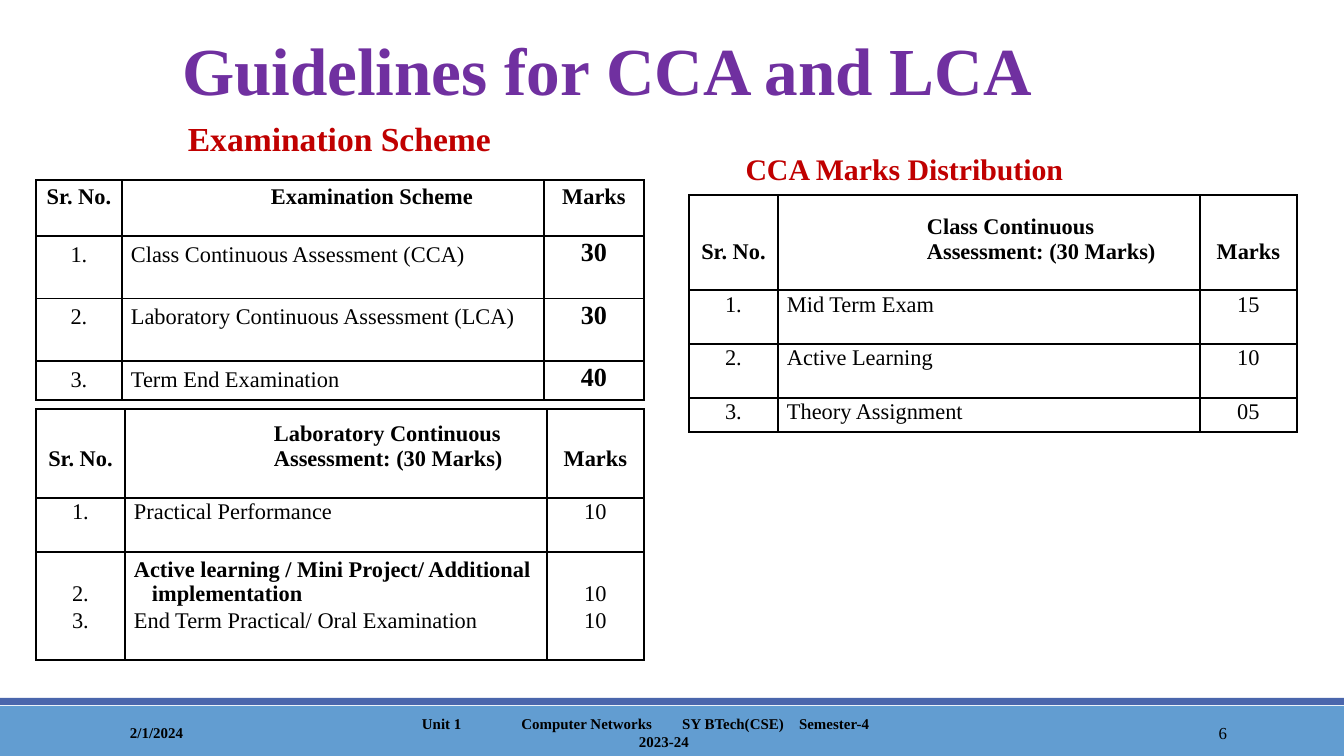
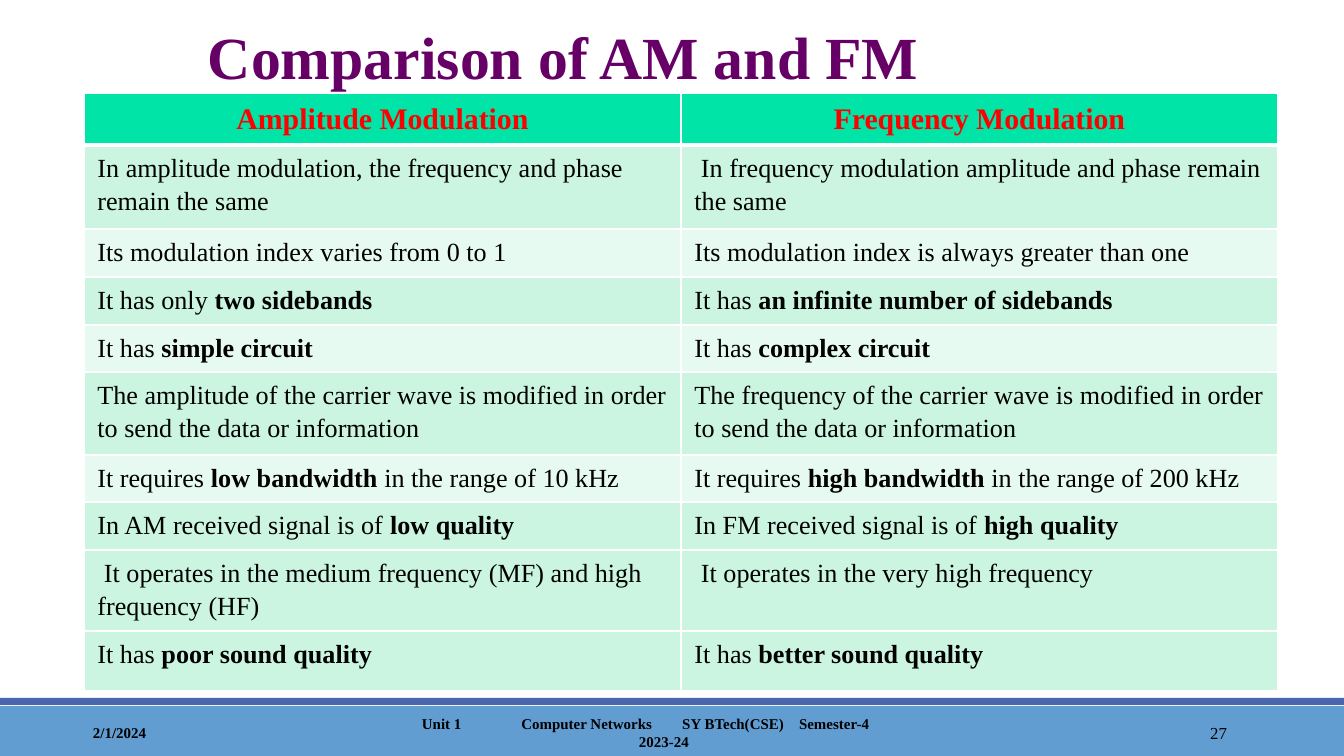
from lxml import etree
from pptx import Presentation, util as u
from pptx.dml.color import RGBColor
from pptx.enum import shapes, text
from pptx.oxml.ns import qn

PX = 6804  # EMU in one px; the slide is 1344 x 756 px
FACE = "Times New Roman"
INK = {
    "black": "000000", "white": "FFFFFF", "violet": "7030A0", "plum": "660066",
    "head": "C00000", "red": "FF0000", "band": "629DD1", "strip": "4A66AC",
    "green": "00E4A8", "mint": "CBF5E1", "pale": "E7FAF1",
}
LEFT, MID, RIGHT = text.PP_ALIGN.LEFT, text.PP_ALIGN.CENTER, text.PP_ALIGN.RIGHT
TOP, CORE, LOW = (text.MSO_ANCHOR.TOP, text.MSO_ANCHOR.MIDDLE,
                  text.MSO_ANCHOR.BOTTOM)
INSET = {"margin_left": 9 * PX, "margin_right": 9 * PX,
         "margin_top": 5 * PX, "margin_bottom": 5 * PX}
FLUSH = dict.fromkeys(INSET, 0)


def write(par, words, size, ink="black", bold=False, **form):
    """Fill a paragraph; parts between asterisks are bold."""
    for key, val in form.items():
        if key in ("marL", "indent"):
            par._p.get_or_add_pPr().set(key, str(val * PX))
        else:
            setattr(par, key, val)
    for i, part in enumerate(words.split("*")):
        if part:
            run = par.add_run()
            run.text = part
            look = {"name": FACE, "size": u.Pt(size), "bold": bold or i % 2 == 1}
            for key, val in look.items():
                setattr(run.font, key, val)
            run.font.color.rgb = RGBColor.from_string(INK[ink])


def edge(cell, ink, **width):
    """Draw the cell borders L, R, T and B; a width of 0 means no line."""
    props = cell._tc.get_or_add_tcPr()
    for side in "LRTB":
        line = etree.SubElement(props, qn("a:ln" + side),
                                w=str(u.Pt(width[side])))
        if width[side]:
            fill = etree.SubElement(line, qn("a:solidFill"))
            etree.SubElement(fill, qn("a:srgbClr"), val=INK[ink])
        else:
            etree.SubElement(line, qn("a:noFill"))


deck = Presentation()
deck.slide_width, deck.slide_height = 1344 * PX, 756 * PX

# Shared frame: bands, footer and title
pages = [
    ("Guidelines for CCA and LCA", (173, 7, 1034, 107), 36, "violet", LOW, 0.85,
     121, "6"),
    ("Comparison of AM and FM", (199, 15, 1079, 91), 32, "plum", TOP, 1.0,
     84, "27"),
]
for name, spot, size, ink, anchor, gap, left, num in pages:
    slide = deck.slides.add_slide(deck.slide_layouts[5])
    for y, h, tint in [(706, 50, "band"), (698, 7, "strip")]:
        bar = slide.shapes.add_shape(shapes.MSO_SHAPE.RECTANGLE,
                                     0, y * PX, 1344 * PX, h * PX)
        bar.shadow.inherit = False
        bar.fill.solid()
        bar.fill.fore_color.rgb = RGBColor.from_string(INK[tint])
        bar.line.fill.background()

    date, unit, page = [
        slide.shapes.add_textbox(x * PX, 712 * PX, w * PX, 41 * PX).text_frame
        for x, w in [(left, 273), (406, 532), (1091, 145)]]
    for frame in (date, unit, page):
        for key, val in {**INSET, "word_wrap": True,
                         "vertical_anchor": CORE}.items():
            setattr(frame, key, val)
    write(date.paragraphs[0], "2/1/2024", 8, bold=True)
    write(page.paragraphs[0], num, 9, alignment=RIGHT)

    # Single spaces widened by character spacing (hundredths of a point)
    course = unit.paragraphs[0]
    write(course, "Unit 1* *Computer Networks* *SY BTech(CSE)* *Semester-4", 8,
          bold=True, marL=7, indent=0)
    for run, wide in zip(course.runs[1::2], (3000, 1400, 600)):
        run._r.get_or_add_rPr().set("spc", str(wide))
    write(unit.add_paragraph(), "2023-24", 8, bold=True, marL=224, indent=0)

    title = slide.shapes.title
    title.left, title.top, title.width, title.height = [n * PX for n in spot]
    for key, val in {**INSET, "word_wrap": True, "vertical_anchor": anchor,
                     "auto_size": text.MSO_AUTO_SIZE.NONE}.items():
        setattr(title.text_frame, key, val)
    write(title.text_frame.paragraphs[0], name, size, ink, True,
          alignment=LEFT, line_spacing=gap)

guide, match = deck.slides

# Slide 1: headings
for words, size, x, y, w, h in [
        ("Examination Scheme", 18, 173, 111, 333, 54),
        ("CCA Marks Distribution", 16, 729, 144, 351, 50)]:
    box = guide.shapes.add_textbox(x * PX, y * PX, w * PX, h * PX)
    box.text_frame.word_wrap = False
    write(box.text_frame.paragraphs[0], words, size, "head", True, alignment=MID)

# Slide 1: marks tables; None is the empty row that closes an entry
grids = [
    (36, 180, (86, 422, 100), (29, 27, 30, 31, 30, 31, 30, 8), 14, [
        ("Sr. No.", "Examination Scheme", "Marks"), None,
        ("1.", "Class Continuous Assessment (CCA)", "30"), None,
        ("2.", "Laboratory Continuous Assessment (LCA)", "30"), None,
        ("3.", "Term End Examination", "40"), None]),
    (689, 195, (89, 422, 97), (69, 26, 26, 27, 26, 27, 26, 7), 12, [
        ("Sr. No.", "Class Continuous Assessment: (30 Marks)", "Marks"), None,
        ("1.", "Mid Term Exam", "15"), None,
        ("2.", "Active Learning", "10"), None,
        ("3.", "Theory Assignment", "05"), None]),
    (36, 409, (89, 422, 97), (62, 27, 26, 27, 55, 27, 26), 12, [
        ("Sr. No.", "Laboratory Continuous Assessment: (30 Marks)", "Marks"),
        None,
        ("1.", "Practical Performance", "10"), None,
        ("2.", "*Active learning / Mini Project/ Additional implementation*",
         "10"),
        ("3.", "End Term Practical/ Oral Examination", "10"), None]),
]
for x, y, cols, highs, size, rows in grids:
    table = guide.shapes.add_table(len(rows), 3, x * PX, y * PX,
                                   sum(cols) * PX, sum(highs) * PX).table
    table.first_row = table.horz_banding = False
    for col, w in zip(table.columns, cols):
        col.width = w * PX
    for r, row in enumerate(rows):
        table.rows[r].height = highs[r] * PX
        for c in range(3):
            cell = table.cell(r, c)
            edge(cell, "black", L=1, R=1, T=int(r == 0 or rows[r - 1] is None),
                 B=int(row is None))
            cell.fill.background()
            for key, val in {**FLUSH, "vertical_anchor": LOW}.items():
                setattr(cell, key, val)
            par = cell.text_frame.paragraphs[0]
            if row is None:
                etree.SubElement(par._p, qn("a:endParaRPr"), sz="100")
                continue
            form = {"alignment": MID}
            if c == 1:
                form = {"marL": 9 if r else 149, "indent": 0}
                if row[c].startswith("*"):
                    form = {"marL": 27, "indent": -18}
            mark = r > 0 and c == 2
            write(par, row[c], size if mark else 12,
                  bold=r == 0 or (mark and size == 14), **form)

# Slide 2: comparison table
pairs = [
    ("Amplitude Modulation", "Frequency Modulation", 52, "green"),
    ("In amplitude modulation, the frequency and phase remain the same",
     " In frequency modulation amplitude and phase remain the same", 84, "mint"),
    ("Its modulation index varies from 0 to 1",
     "Its modulation index is always greater than one", 48, "pale"),
    ("It has only *two sidebands*",
     "It has *an infinite number of sidebands*", 48, "mint"),
    ("It has *simple circuit*", "It has *complex circuit*", 47, "pale"),
    ("The amplitude of the carrier wave is modified in order to send the data "
     "or information",
     "The frequency of the carrier wave is modified in order to send the data "
     "or information", 83, "mint"),
    ("It requires *low bandwidth *in the range of 10 kHz",
     "It requires *high bandwidth *in the range of 200 kHz", 47, "pale"),
    ("In AM received signal is of *low quality*",
     "In FM received signal is of *high quality*", 48, "mint"),
    (" It operates in the medium frequency (MF) and high frequency (HF)",
     " It operates in the very high frequency", 81, "mint"),
    ("It has *poor sound quality*", "It has *better sound quality*", 60, "mint"),
]
table = match.shapes.add_table(len(pairs), 2, 84 * PX, 93 * PX, 1194 * PX,
                               sum(pair[2] for pair in pairs) * PX).table
for r, (*sides, high, tint) in enumerate(pairs):
    table.rows[r].height = high * PX
    for c, words in enumerate(sides):
        cell = table.cell(r, c)
        edge(cell, "white", L=1, R=1, T=3 if r == 1 else 1, B=1 if r else 3)
        cell.fill.solid()
        cell.fill.fore_color.rgb = RGBColor.from_string(INK[tint])
        cell.margin_top, cell.margin_bottom = 5 * PX, 4 * PX
        look = (14, "black", False) if r else (16, "red", True)
        write(cell.text_frame.paragraphs[0], words, *look,
              alignment=LEFT if r else MID, line_spacing=1.15,
              space_after=u.Pt(10))

deck.save("out.pptx")
